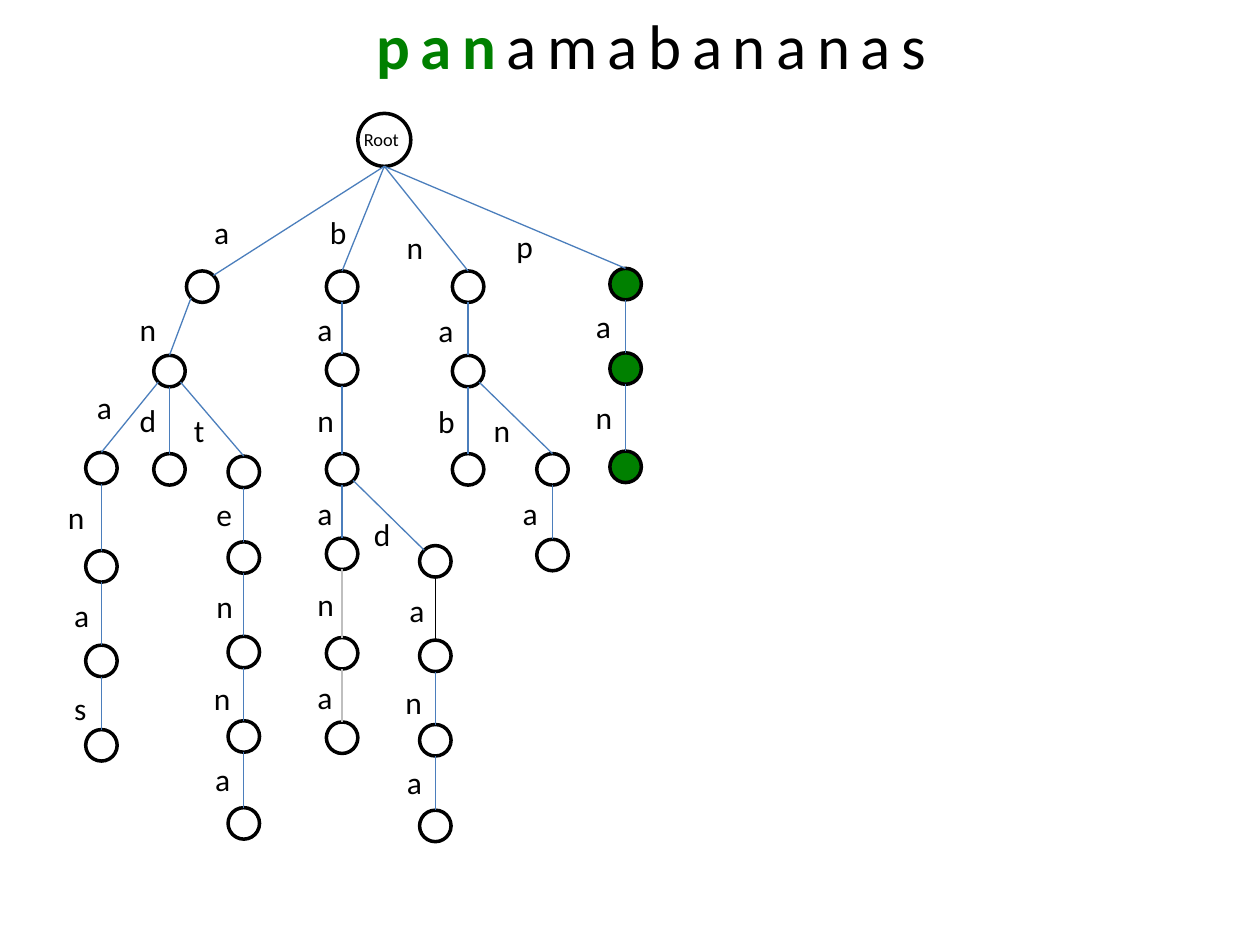
from dataclasses import dataclass

from lxml import etree
from pptx import Presentation
from pptx import util as u
from pptx.dml.color import RGBColor
from pptx.enum import shapes, text
from pptx.oxml.ns import qn


@dataclass(frozen=True)
class Theme:
    font: str = "Calibri"
    black: str = "000000"
    white: str = "FFFFFF"
    match: str = "008000"
    edge: str = "4B7EBC"
    faded: str = "BFBFBF"
    title_size: float = 36
    label_size: float = 18
    root_size: float = 10.5
    node_line: float = 2
    edge_line: float = 0.75
    title_spacing: float = 6


NODE = 0.25
ROOT = (2.84, 0.9, 0.42)
LABEL_HEIGHT = 0.4
LABEL_WIDTHS = {"a": 0.32, "e": 0.33, "s": 0.3, "t": 0.29}
DEFAULT_LABEL_WIDTH = 0.34
MATCHED = "pan"
UNMATCHED = "amabananas"

# Trie prefix: node left, node top, label left, label top.
# The last letter of a prefix labels the edge from its parent.
TRIE = {
    "a": (1.48, 2.15, 1.6, 1.64),
    "an": (1.22, 2.82, 1.01, 2.41),
    "ana": (0.68, 3.59, 0.67, 3.03),
    "anan": (0.68, 4.37, 0.44, 3.9),
    "anana": (0.68, 5.12, 0.49, 4.68),
    "ananas": (0.68, 5.79, 0.49, 5.42),
    "and": (1.22, 3.6, 1.01, 3.13),
    "ant": (1.81, 3.62, 1.44, 3.21),
    "ante": (1.81, 4.3, 1.62, 3.88),
    "anten": (1.81, 5.05, 1.62, 4.61),
    "antenn": (1.81, 5.72, 1.6, 5.34),
    "antenna": (1.81, 6.41, 1.61, 5.98),
    "b": (2.59, 2.15, 2.52, 1.64),
    "ba": (2.59, 2.81, 2.42, 2.41),
    "ban": (2.59, 3.6, 2.42, 3.13),
    "bana": (2.59, 4.27, 2.42, 3.87),
    "banan": (2.59, 5.06, 2.42, 4.59),
    "banana": (2.59, 5.73, 2.42, 5.33),
    "band": (3.33, 4.33, 2.87, 4.04),
    "banda": (3.33, 5.08, 3.15, 4.64),
    "bandan": (3.33, 5.75, 3.12, 5.37),
    "bandana": (3.33, 6.43, 3.13, 6.01),
    "n": (3.59, 2.15, 3.13, 1.76),
    "na": (3.59, 2.82, 3.38, 2.42),
    "nab": (3.59, 3.6, 3.38, 3.14),
    "nan": (4.26, 3.6, 3.82, 3.21),
    "nana": (4.26, 4.28, 4.05, 3.87),
    "p": (4.84, 2.13, 4.0, 1.75),
    "pa": (4.84, 2.8, 4.63, 2.39),
    "pan": (4.84, 3.58, 4.63, 3.11),
}
SIDE_ENTRIES = {"a", "band"}


class TrieSlide:
    def __init__(self, slide, theme):
        self.slide = slide
        self.theme = theme

    def node(self, left, top, size, fill):
        shape = self.slide.shapes.add_shape(
            shapes.MSO_SHAPE.OVAL, *map(u.Inches, (left, top, size, size)))
        shape.shadow.inherit = False
        shape.fill.solid()
        shape.fill.fore_color.rgb = RGBColor.from_string(fill)
        shape.line.color.rgb = RGBColor.from_string(self.theme.black)
        shape.line.width = u.Pt(self.theme.node_line)

    def edge(self, start, end, color):
        line = self.slide.shapes.add_connector(
            shapes.MSO_CONNECTOR.STRAIGHT, *map(u.Inches, (*start, *end)))
        line.line.color.rgb = RGBColor.from_string(color)
        line.line.width = u.Pt(self.theme.edge_line)
        etree.SubElement(line._element.spPr, qn("a:effectLst"))

    def text(self, content, box, size, wrap=True):
        """Add a one-line text box and return its paragraph."""
        shape = self.slide.shapes.add_textbox(*map(u.Inches, box))
        frame = shape.text_frame
        frame.word_wrap = wrap
        frame.auto_size = text.MSO_AUTO_SIZE.SHAPE_TO_FIT_TEXT
        paragraph = frame.paragraphs[0]
        if content:
            paragraph.add_run().text = content
        paragraph.font.name = self.theme.font
        paragraph.font.size = u.Pt(size)
        paragraph.font.color.rgb = RGBColor.from_string(self.theme.black)
        return paragraph

    def label(self, letter, left, top):
        width = LABEL_WIDTHS.get(letter, DEFAULT_LABEL_WIDTH)
        self.text(letter, (left, top, width, LABEL_HEIGHT),
                  self.theme.label_size, wrap=False)

    def title(self, matched, rest):
        paragraph = self.text("", (2.67, 0, 5, 0.71), self.theme.title_size)
        paragraph.alignment = text.PP_ALIGN.CENTER
        for content, is_match in ((matched, True), (rest, False)):
            run = paragraph.add_run()
            run.text = content
            run.font.bold = is_match
            run.font.color.rgb = RGBColor.from_string(
                self.theme.match if is_match else self.theme.black)
            run._r.get_or_add_rPr().set(
                "spc", str(int(self.theme.title_spacing * 100)))


def node_circle(prefix):
    """Return the centre and radius of a node; the empty prefix is the root."""
    left, top, size = (*TRIE[prefix][:2], NODE) if prefix else ROOT
    return left + size / 2, top + size / 2, size / 2


def edge_ends(prefix):
    """Slanted edges leave a node at its lower side, all others at its bottom."""
    parent_x, parent_y, parent_radius = node_circle(prefix[:-1])
    x, y, radius = node_circle(prefix)
    direction = 1 if x > parent_x else -1
    diagonal = 0.5 ** 0.5
    start = (parent_x, parent_y + parent_radius)
    if len(prefix) > 1 and abs(x - parent_x) > 0.05:
        offset = parent_radius * diagonal
        start = (parent_x + direction * offset, parent_y + offset)
    end = (x, y - radius)
    if prefix in SIDE_ENTRIES:
        offset = radius * diagonal
        end = (x - direction * offset, y - offset)
    return start, end


def main():
    presentation = Presentation()
    presentation.slide_width = u.Inches(10)
    presentation.slide_height = u.Inches(7.5)
    theme = Theme()
    trie = TrieSlide(
        presentation.slides.add_slide(presentation.slide_layouts[6]), theme)
    edge_colors = {"banan": theme.faded, "banana": theme.faded,
                   "banda": theme.black}

    trie.node(*ROOT, theme.white)
    trie.text("Root", (2.79, 0.97, 0.55, 0.28), theme.root_size)
    for prefix, (left, top, label_left, label_top) in TRIE.items():
        is_match = MATCHED.startswith(prefix)
        trie.node(left, top, NODE, theme.match if is_match else theme.white)
        trie.edge(*edge_ends(prefix), edge_colors.get(prefix, theme.edge))
        trie.label(prefix[-1], label_left, label_top)
    trie.title(MATCHED, UNMATCHED)
    presentation.save("out.pptx")


if __name__ == "__main__":
    main()
